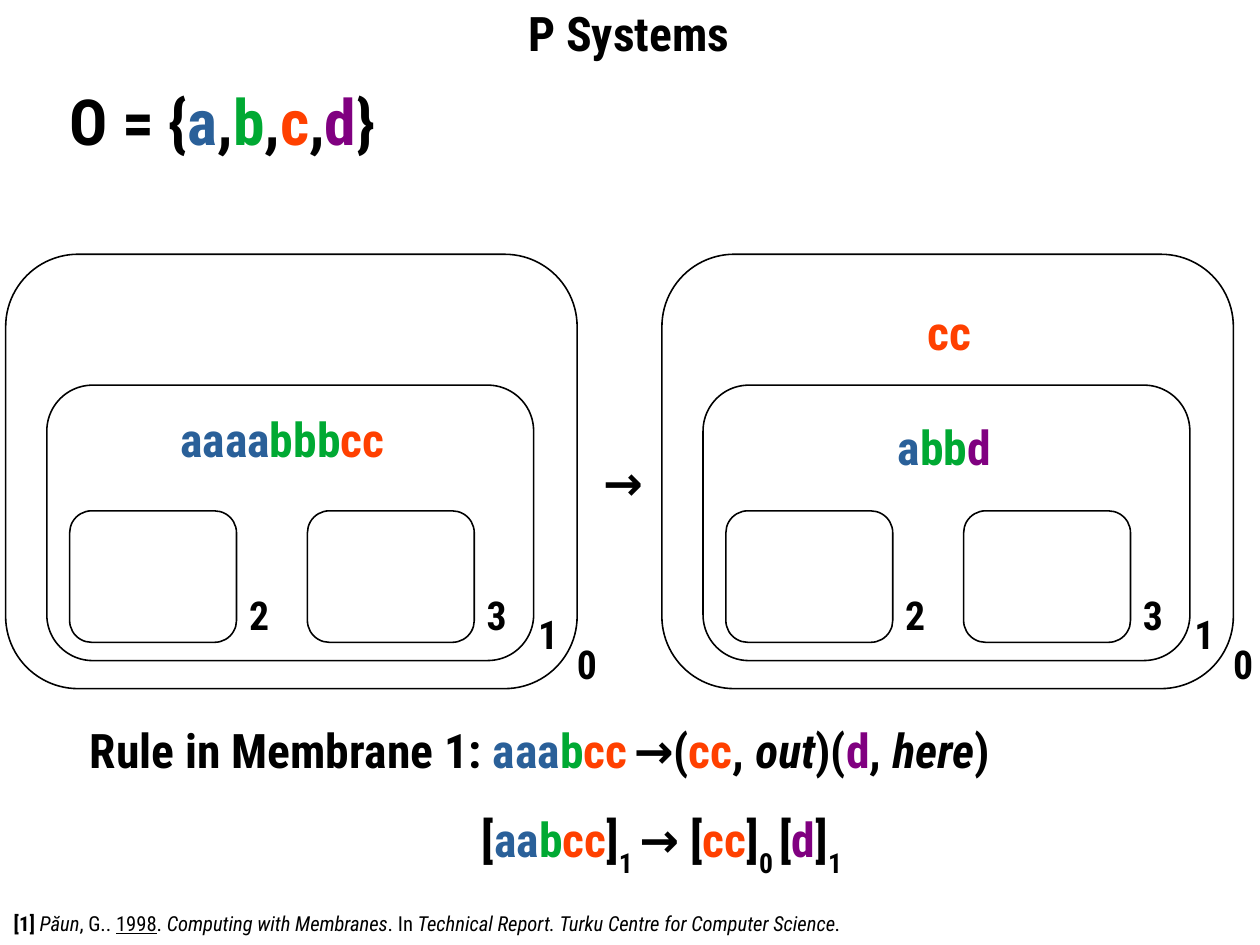
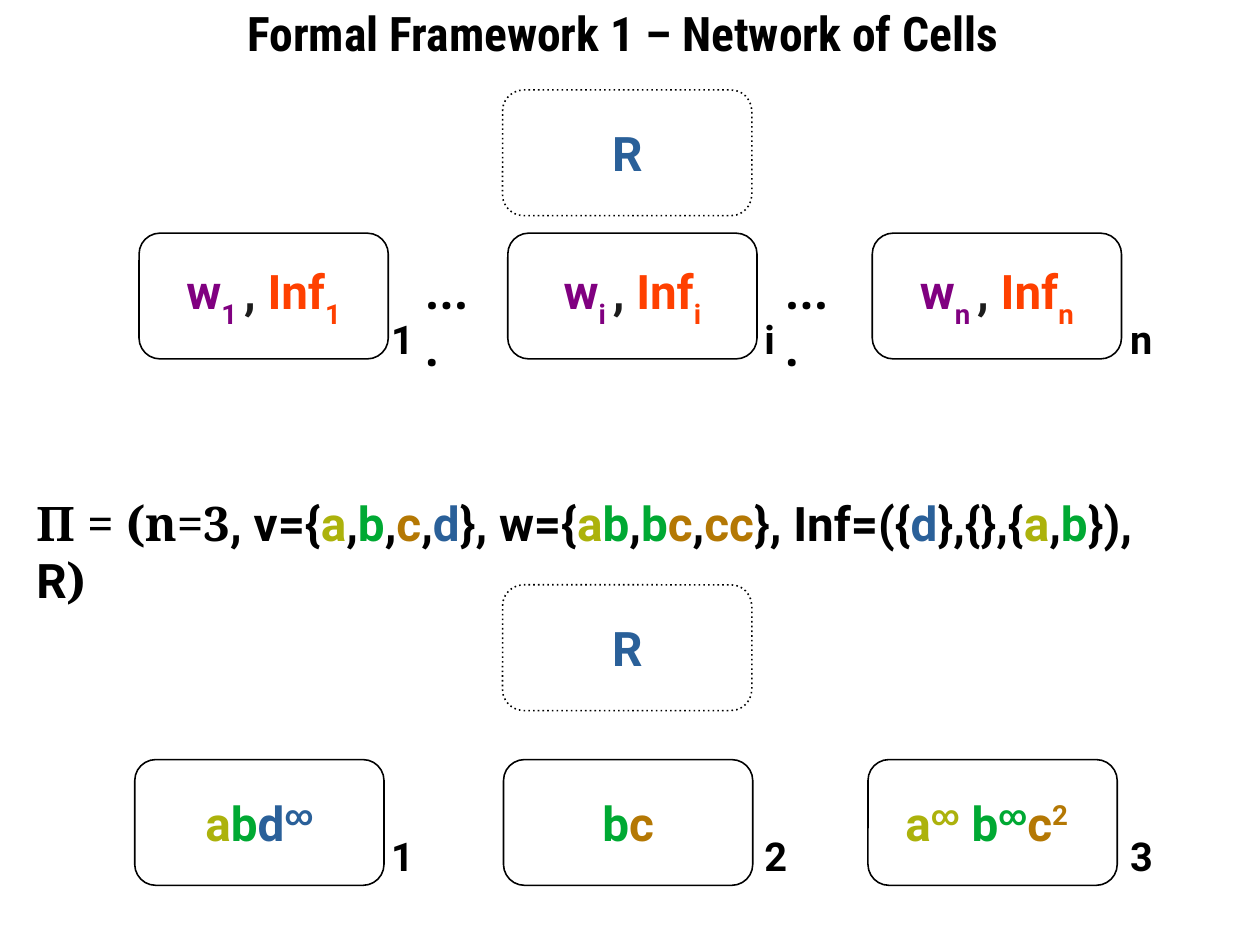
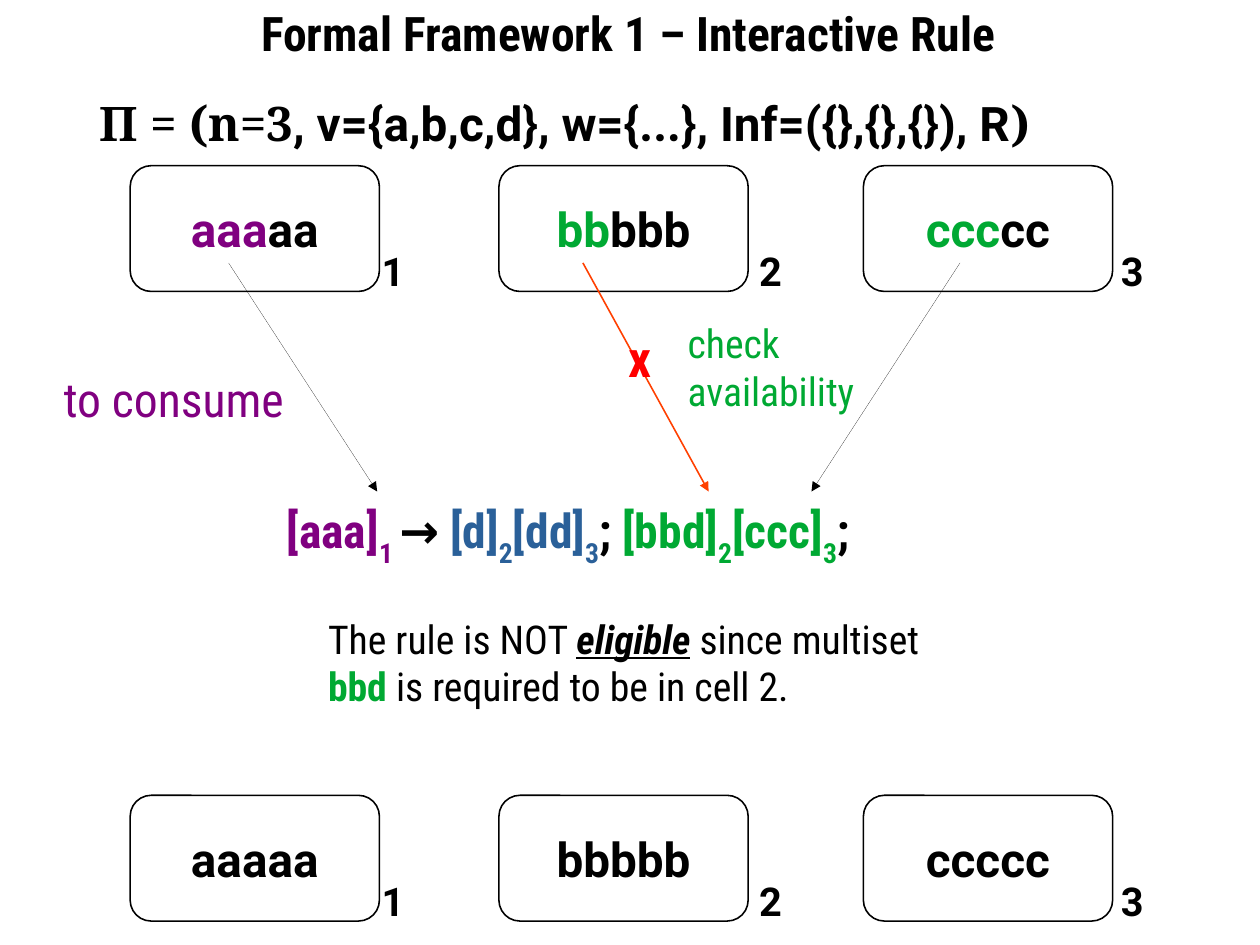
"""Build three slides on P systems and networks of cells."""
from dataclasses import dataclass
from itertools import groupby

from lxml import etree
from pptx import Presentation
from pptx.dml.color import RGBColor
from pptx.enum import shapes, text
from pptx.oxml import ns
from pptx.util import Pt


@dataclass(frozen=True)
class Theme:
    ink: str = "000000"
    charcoal: str = "1C1C1C"
    blue: str = "2A6099"
    green: str = "00A933"
    orange: str = "FF4000"
    purple: str = "800080"
    olive: str = "ACB20C"
    brown: str = "B47804"
    red: str = "FF0000"
    condensed: str = "Roboto Condensed"
    sans: str = "Roboto"
    serif: str = "Noto Serif"
    note: float = 13
    label: float = 25
    body: float = 30
    cross: float = 32
    display: float = 40


THEME = Theme()
SLIDE_SIZE = (793.75, 595.25)
TITLE_BOX = (0, 0.7, 792, 39.6)
CELL_SIZE = (157, 79.2)
CELL_COLUMNS = (0, 232.3, 461.9)
LABEL_SIZE = (30, 40)
BASELINES = {"sub": "-33000", "sup": "33000"}

OBJECTS = {"a": "blue", "b": "green", "c": "orange", "d": "purple"}
CELL_OBJECTS = {"a": "olive", "b": "green", "c": "brown", "d": "blue"}


def symbols(word, alphabet, style="bold"):
    """Split a word into runs, each coloured by its object."""
    groups = groupby(word, lambda letter: alphabet.get(letter, "ink"))
    return [("".join(letters), colour, style) for colour, letters in groups]


def bold(word, colour="ink", extra=""):
    """Return one bold run."""
    return (word, colour, "bold " + extra)


def plain(word, colour="ink", extra=""):
    """Return one regular run."""
    return (word, colour, extra)


def state(index):
    """Return the content and inflow of one general cell."""
    return [bold("w", "purple"), bold(index + " ", "purple", "sub"), bold(", ", "charcoal"),
            bold("Inf", "orange"), bold(index, "orange", "sub")]


MEMBRANES = [(3.6, 160.2, 360, 273.6), (29.5, 242.6, 306.7, 173.5),
             (43.9, 321.8, 105.1, 82.8), (193.7, 321.8, 105.1, 82.8)]
MEMBRANE_LABELS = [("0", 356.4, 399.6), ("1", 331.9, 380.5),
                   ("2", 149.8, 368.6), ("3", 299.5, 368.4)]
MEMBRANE_SHIFTS = (0, 413.4)

P_SYSTEM_TEXTS = [
    ((1.6, 570, 543, 33), THEME.note, THEME.condensed, [
        bold("[1] "), plain("Păun", extra="italic"), plain(", G.. "),
        plain("1998", extra="underline"), plain(". "),
        plain("Computing with Membranes", extra="italic"), plain(". In "),
        plain("Technical Report. Turku Centre for Computer Science", extra="italic"),
        plain(".")]),
    ((36.7, 48.2, 208, 87), THEME.display, THEME.condensed, symbols("O = {a,b,c,d}", OBJECTS)),
    ((106.4, 254.9, 151, 67), THEME.body, THEME.condensed, symbols("aaaabbbcc", OBJECTS)),
    ((558.6, 259.9, 79, 67), THEME.body, THEME.condensed, symbols("abbd", OBJECTS)),
    ((577.2, 187.2, 42, 67), THEME.body, THEME.condensed, symbols("cc", OBJECTS)),
    ((372.8, 281.5, 49, 47), THEME.body, THEME.condensed, [bold("→")]),
    ((49.6, 450.5, 590, 68), THEME.body, THEME.condensed, [
        bold("Rule in Membrane 1:"), bold(" aaa", "blue"), bold("b", "green"),
        bold("cc", "orange"), bold(" ", "orange", "sub"), *symbols("→(cc, ", OBJECTS),
        bold("out", extra="italic"), *symbols(")(d, ", OBJECTS),
        bold("here", extra="italic"), bold(")")]),
    ((289.4, 506.7, 331, 53), THEME.body, THEME.condensed, [
        *symbols(" [aabcc]", OBJECTS), bold("1 ", extra="sub"),
        *symbols("→ [cc]", OBJECTS), bold("0 ", extra="sub"),
        *symbols("[d]", OBJECTS), bold("1", extra="sub")]),
]

NETWORK_LABELS = (239.3, 474.5, 704.9)
NETWORK_ROWS = [
    (87.6, 146.9, 47.7, "1in", [state("1"), state("i"), state("n")]),
    (84.9, 478.5, 41.8, "123", [
        symbols("abd", CELL_OBJECTS) + [bold("∞", "blue", "sup")],
        symbols("bc", CELL_OBJECTS),
        [bold("a", "olive"), bold("∞", "olive", "sup"), bold(" ", "olive"),
         bold("b", "green"), bold("∞", "green", "sup"), bold("c", "brown"),
         bold("2", "brown", "sup"), bold(" ", "brown")]]),
]
RULE_SETS = [(316.6, 56.7), (316.6, 368.4)]
NETWORK_TEXTS = [
    ((260.6, 161.3, 48.2, 88), THEME.body, THEME.serif, [bold("….")]),
    ((487.4, 161.3, 48.2, 88), THEME.body, THEME.serif, [bold("….")]),
    ((15.8, 307.4, 741.6, 88), THEME.body, THEME.sans, [
        bold("Π = (n=3", extra="serif"),
        *symbols(", v={a,b,c,d}, w={ab,bc,cc}, Inf=({d},{},{a,b}), R", CELL_OBJECTS),
        bold(")", extra="serif")]),
]

INTERACTIVE_LABELS = (233.3, 471.2, 699.1)
INTERACTIVE_ROWS = [
    (82, 104.4, 47.5, "123", [
        [bold("aaa", "purple"), bold("aa")],
        [bold("bb", "green"), bold("bbb")],
        [bold("ccc", "green"), bold("cc")]]),
    (82, 501, 47.5, "123", [[bold(letter * 5)] for letter in "abc"]),
]
ARROWS = [((144, 165.6), (237.6, 309.6), "ink", 0),
          ((367.2, 165.6), (446.4, 309.6), "orange", 1),
          ((604.8, 165.6), (511.2, 309.6), "ink", 0)]
INTERACTIVE_TEXTS = [
    ((55.4, 55.4, 682.6, 48), THEME.body, THEME.sans, [
        bold("Π = (n=3", extra="serif"),
        bold(", v={a,b,c,d}, w={...}, Inf=({},{},{}), R"), bold(")", extra="serif")]),
    ((173.5, 311.8, 540, 49), THEME.body, THEME.condensed, [
        bold("[aaa]", "purple"), bold("1 ", "purple", "sub"), bold("→ "),
        bold("[d]", "blue"), bold("2", "blue", "sub"),
        bold("[dd]", "blue"), bold("3", "blue", "sub"), bold("; "),
        bold("[bbd]", "green"), bold("2", "green", "sub"),
        bold("[ccc]", "green"), bold("3", "green", "sub"), bold(";")]),
    ((33, 229.5, 158.4, 67), THEME.body, THEME.condensed, [plain("to consume", "purple")]),
    ((199.6, 383.6, 389, 82), THEME.label, THEME.condensed, [
        plain("The rule is NOT "), bold("eligible", extra="italic underline"),
        plain(" since multiset "), bold("bbd", "green"),
        plain(" is required to be in cell 2.")]),
    ((388.8, 202.3, 31.7, 50), THEME.cross, THEME.condensed, [bold("x", "red")]),
    ((426.2, 197.3, 148.3, 86), THEME.label, THEME.condensed,
     [plain("check", "green")], [plain("availability", "green")]),
]


def colour_of(name):
    return RGBColor.from_string(getattr(THEME, name))


def points(values):
    return [Pt(value) for value in values]


def write(text_frame, size, font, *paragraphs, align=text.PP_ALIGN.LEFT):
    for number, runs in enumerate(paragraphs):
        paragraph = text_frame.add_paragraph() if number else text_frame.paragraphs[0]
        paragraph.alignment = align
        for word, colour, style in runs:
            run = paragraph.add_run()
            run.text = word
            flags = style.split()
            run.font.size = Pt(size)
            run.font.name = THEME.serif if "serif" in flags else font
            run.font.bold = "bold" in flags
            run.font.italic = "italic" in flags
            run.font.underline = "underline" in flags
            run.font.color.rgb = colour_of(colour)
            for flag in BASELINES.keys() & set(flags):
                run._r.get_or_add_rPr().set("baseline", BASELINES[flag])


def add_text(slide, box, size, font, *paragraphs):
    text_frame = slide.shapes.add_textbox(*points(box)).text_frame
    text_frame.word_wrap = True
    write(text_frame, size, font, *paragraphs)


def add_texts(slide, entries):
    for entry in entries:
        add_text(slide, *entry)


def add_label(slide, name, left, top, font):
    add_text(slide, (left, top, *LABEL_SIZE), THEME.label, font, [bold(name)])


def add_cell(slide, box, runs=(), dotted=False):
    shape = slide.shapes.add_shape(shapes.MSO_SHAPE.ROUNDED_RECTANGLE, *points(box))
    shape.shadow.inherit = False
    shape.fill.background()
    shape.line.color.rgb = colour_of("ink")
    shape.line.width = Pt(1)
    if dotted:
        dashes = etree.SubElement(shape.line._get_or_add_ln(), ns.qn("a:custDash"))
        etree.SubElement(dashes, ns.qn("a:ds"), d="100000", sp="200000")
    if runs:
        shape.text_frame.word_wrap = False
        shape.text_frame.vertical_anchor = text.MSO_ANCHOR.MIDDLE
        write(shape.text_frame, THEME.body, THEME.sans, runs, align=text.PP_ALIGN.CENTER)


def add_cell_row(slide, label_lefts, left, top, label_drop, names, contents):
    for column, label_left, name, runs in zip(CELL_COLUMNS, label_lefts, names, contents):
        add_cell(slide, (left + column, top, *CELL_SIZE), runs)
        add_label(slide, name, label_left, top + label_drop, THEME.sans)


def add_arrow(slide, start, end, colour, width):
    connector = slide.shapes.add_connector(
        shapes.MSO_CONNECTOR.STRAIGHT, *points(start + end))
    connector.line.color.rgb = colour_of(colour)
    line = connector.line._get_or_add_ln()
    line.set("w", str(int(Pt(width))))
    etree.SubElement(line, ns.qn("a:tailEnd"), type="triangle")
    etree.SubElement(connector._element.spPr, ns.qn("a:effectLst"))


def add_slide(presentation, title):
    slide = presentation.slides.add_slide(presentation.slide_layouts[5])
    shape = slide.shapes.title
    shape.left, shape.top, shape.width, shape.height = points(TITLE_BOX)
    text_frame = shape.text_frame
    text_frame.auto_size = text.MSO_AUTO_SIZE.NONE
    text_frame.vertical_anchor = text.MSO_ANCHOR.MIDDLE
    text_frame.margin_left = text_frame.margin_right = 0
    text_frame.margin_top = text_frame.margin_bottom = 0
    write(text_frame, THEME.body, THEME.condensed, [bold(title)], align=text.PP_ALIGN.CENTER)
    return slide


def main():
    presentation = Presentation()
    presentation.slide_width, presentation.slide_height = points(SLIDE_SIZE)

    slide = add_slide(presentation, "P Systems")
    for shift in MEMBRANE_SHIFTS:
        for left, *rest in MEMBRANES:
            add_cell(slide, (left + shift, *rest))
        for name, left, top in MEMBRANE_LABELS:
            add_label(slide, name, left + shift, top, THEME.condensed)
    add_texts(slide, P_SYSTEM_TEXTS)

    slide = add_slide(presentation, "Formal Framework 1 – Network of Cells ")
    for row in NETWORK_ROWS:
        add_cell_row(slide, NETWORK_LABELS, *row)
    for corner in RULE_SETS:
        add_cell(slide, (*corner, *CELL_SIZE), [bold("R", "blue")], dotted=True)
    add_texts(slide, NETWORK_TEXTS)

    slide = add_slide(presentation, "Formal Framework 1 – Interactive Rule")
    for row in INTERACTIVE_ROWS:
        add_cell_row(slide, INTERACTIVE_LABELS, *row)
    for arrow in ARROWS:
        add_arrow(slide, *arrow)
    add_texts(slide, INTERACTIVE_TEXTS)

    presentation.save("out.pptx")


if __name__ == "__main__":
    main()
